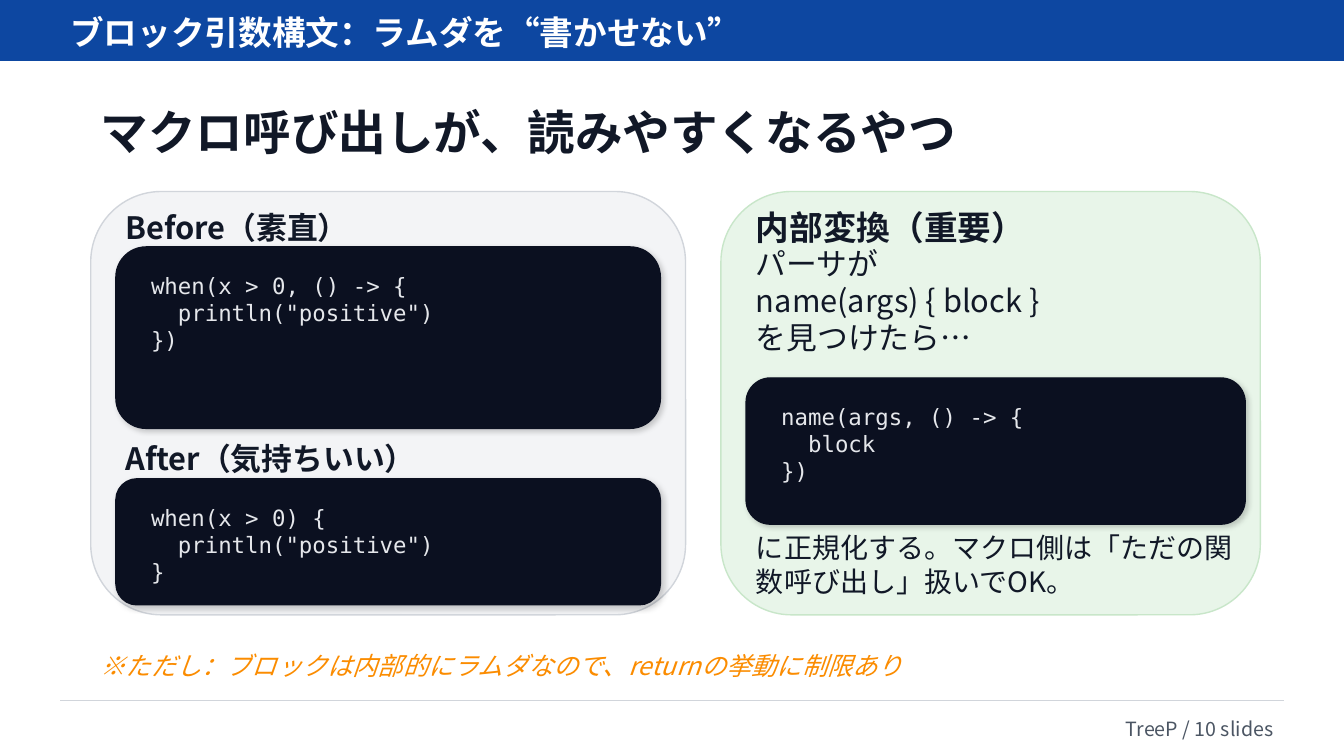
"""Build the slide on block-argument syntax, laid out on a grid of 0.05 inch cells."""
from lxml import etree
from pptx import Presentation, util as u
from pptx.dml.color import RGBColor
from pptx.enum import shapes, text
from pptx.oxml.ns import qn

CELL = 0.05
COLUMNS, ROWS = 266.6, 150
MARGIN, CONTENT_LEFT = 12, 18
CODE_INSET_X, CODE_INSET_Y = 5, 4
SANS, MONO = "Noto Sans CJK JP", "DejaVu Sans Mono"
COLOURS = {
    "header": "0D47A1", "white": "FFFFFF", "ink": "111827", "muted": "4B5563",
    "rule": "D1D5DB", "grey": "F3F4F6", "green": "E8F5E9", "green_edge": "C8E6C9",
    "code": "0B1020", "code_text": "E5E7EB", "note": "FB8C00", "shadow": "000000",
}

HEADER = "ブロック引数構文：ラムダを“書かせない”"
HEADLINE = "マクロ呼び出しが、読みやすくなるやつ"
NOTE = "※ただし：ブロックは内部的にラムダなので、returnの挙動に制限あり"
FOOTER = "TreeP / 10 slides"
CARDS = [
    ((18, 38, 118, 84), "grey", "rule"),
    ((143, 38, 107, 84), "green", "green_edge"),
]
CARD_TEXTS = [
    ((23, 41, 108, 8), ["Before（素直）"], 22, True),
    ((23, 87, 108, 8), ["After（気持ちいい）"], 22, True),
    ((148, 41, 98, 8), ["内部変換（重要）"], 24, True),
    ((148, 51, 98, 17), ["パーサが", "name(args) { block }", "を見つけたら…"], 22, False),
    ((148, 106, 100, 12),
     ["に正規化する。マクロ側は「ただの関数呼び出し」扱いでOK。"], 20, False),
]
CODE_PANELS = [
    ((23, 49, 108, 36), ["when(x > 0, () -> {", '  println("positive")', "})"]),
    ((23, 95, 108, 25), ["when(x > 0) {", '  println("positive")', "}"]),
    ((148, 75, 99, 29), ["name(args, () -> {", "  block", "})"]),
]


def cells(*counts):
    return [u.Inches(count * CELL) for count in counts]


def colour(name):
    return RGBColor.from_string(COLOURS[name])


def write(box, lines, size, ink="ink", font=SANS, bold=False, italic=False,
          align=text.PP_ALIGN.LEFT, anchor=text.MSO_ANCHOR.MIDDLE):
    frame = box.text_frame
    frame.word_wrap = True
    frame.auto_size = text.MSO_AUTO_SIZE.NONE
    frame.vertical_anchor = anchor
    for index, line in enumerate(lines):
        para = frame.add_paragraph() if index else frame.paragraphs[0]
        para.alignment = align
        span = para.add_run()
        span.text = line
        span.font.size = u.Pt(size)
        span.font.name = font
        span.font.bold = bold
        span.font.italic = italic
        span.font.color.rgb = colour(ink)
        etree.SubElement(span.font._element, qn("a:ea"), typeface=font)


def add_text(page, area, lines, size, **style):
    write(page.shapes.add_textbox(*cells(*area)), lines, size, **style)


def add_panel(page, kind, area, fill, edge):
    panel = page.shapes.add_shape(kind, *cells(*area))
    panel.shadow.inherit = False
    panel.fill.solid()
    panel.fill.fore_color.rgb = colour(fill)
    panel.line.color.rgb = colour(edge)
    panel.line.width = u.Pt(1)
    return panel


def add_drop_shadow(panel):
    effects = panel._element.spPr.find(qn("a:effectLst"))
    shadow = etree.SubElement(
        effects, qn("a:outerShdw"), blurRad=str(u.Pt(4)), dist=str(u.Pt(2)),
        dir=str(45 * 60000), algn="tl", rotWithShape="0")
    tint = etree.SubElement(shadow, qn("a:srgbClr"), val=COLOURS["shadow"])
    etree.SubElement(tint, qn("a:alpha"), val="18000")


def add_code(page, area, lines):
    left, top, width, height = area
    add_drop_shadow(add_panel(
        page, shapes.MSO_SHAPE.ROUNDED_RECTANGLE, area, "code", "code"))
    inner = (left + CODE_INSET_X, top + CODE_INSET_Y,
             width - 2 * CODE_INSET_X, height - 2 * CODE_INSET_Y)
    add_text(page, inner, lines, 16, ink="code_text", font=MONO,
             anchor=text.MSO_ANCHOR.TOP)


def add_footer(page):
    rule = page.shapes.add_connector(
        shapes.MSO_CONNECTOR.STRAIGHT, *cells(MARGIN, 139, COLUMNS - MARGIN, 139))
    rule.line.color.rgb = colour("rule")
    rule.line.width = u.Pt(1)
    etree.SubElement(rule._element.spPr, qn("a:effectLst"))
    add_text(page, (MARGIN, 141, COLUMNS - 2 * MARGIN, 7), [FOOTER], 14,
             ink="muted", align=text.PP_ALIGN.RIGHT)


def main():
    deck = Presentation()
    deck.slide_width, deck.slide_height = cells(COLUMNS, ROWS)
    page = deck.slides.add_slide(deck.slide_layouts[5])
    page.background.fill.solid()
    page.background.fill.fore_color.rgb = colour("white")

    title = page.shapes.title
    title.left, title.top, title.width, title.height = cells(CONTENT_LEFT, 20, 240, 12)
    write(title, [HEADLINE], 34, bold=True)

    add_panel(page, shapes.MSO_SHAPE.RECTANGLE, (0, 0, COLUMNS, 12), "header", "header")
    add_text(page, (MARGIN, 2.4, COLUMNS - 40, 8), [HEADER], 24, ink="white", bold=True)

    for area, fill, edge in CARDS:
        add_panel(page, shapes.MSO_SHAPE.ROUNDED_RECTANGLE, area, fill, edge)
    for area, lines in CODE_PANELS:
        add_code(page, area, lines)
    for area, lines, size, bold in CARD_TEXTS:
        add_text(page, area, lines, size, bold=bold)

    add_text(page, (CONTENT_LEFT, 127, 240, 10), [NOTE], 18, ink="note", italic=True)
    add_footer(page)
    deck.save("out.pptx")


if __name__ == "__main__":
    main()
